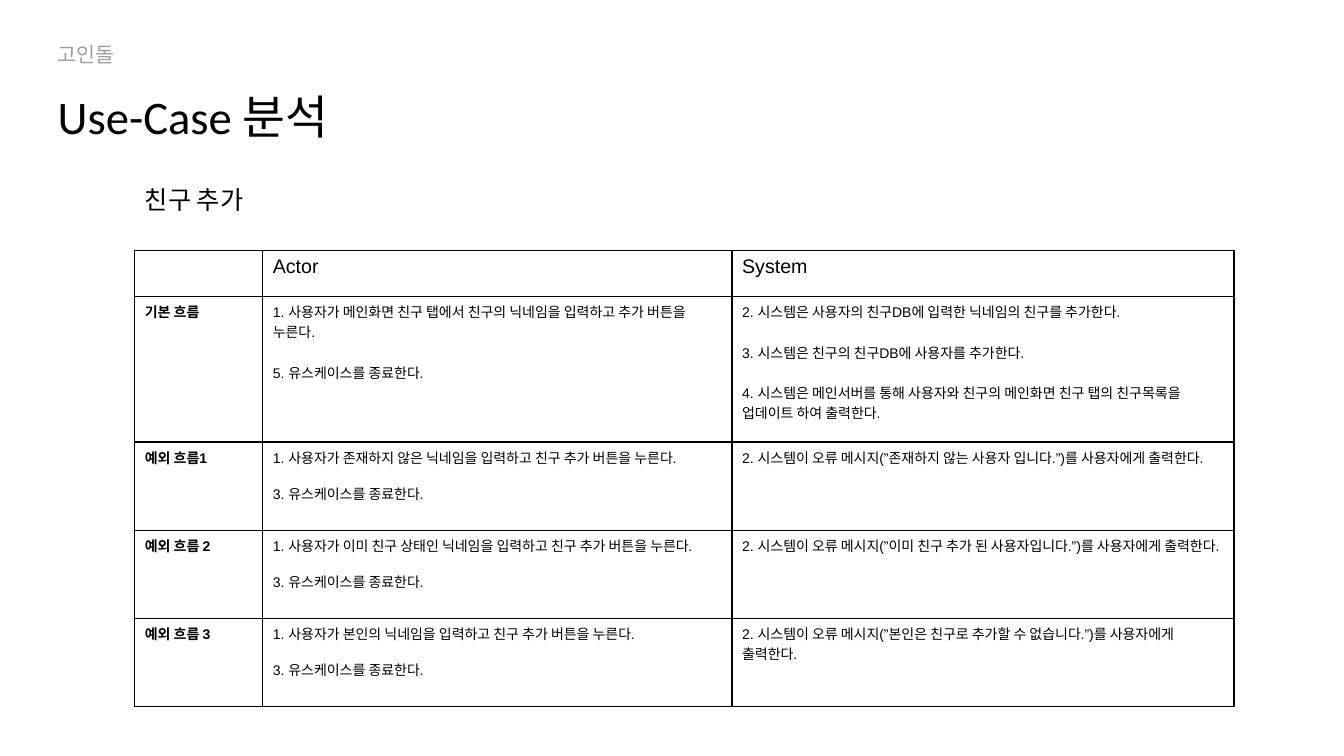
from dataclasses import dataclass
from pptx import Presentation
from pptx.dml.color import RGBColor as Rgb
from pptx.enum.text import MSO_ANCHOR as Anchor, MSO_AUTO_SIZE as AutoSize, PP_ALIGN as Align
from pptx.oxml import parse_xml
from pptx.oxml.ns import nsdecls
from pptx.util import Pt


@dataclass(frozen=True)
class Theme:
    ink: str = "000000"
    muted: str = "9E9E9E"
    paper: str = "FFFFFF"
    heading_font: str = "Calibri"
    table_font: str = "Arial"
    team: float = 14.7
    title: float = 33.3
    subtitle: float = 18
    header: float = 14
    body: float = 10
    rule: float = 1


class UseCaseSlide:
    def __init__(self, slide, theme):
        self.slide = slide
        self.theme = theme

    def style(self, frame, font, size, color, bold=False):
        for paragraph in frame.paragraphs:
            paragraph.alignment = Align.LEFT
            for run in paragraph.runs:
                run.font.name = font
                run.font.size = Pt(size)
                run.font.bold = bold
                run.font.color.rgb = Rgb.from_string(color)

    def heading(self, holder, text, size, color):
        frame = holder.text_frame
        frame.text = text
        frame.word_wrap = True
        frame.auto_size = AutoSize.NONE
        frame.vertical_anchor = Anchor.TOP
        self.style(frame, self.theme.heading_font, size, color)

    def title(self, text, left, top, width, height):
        holder = self.slide.shapes.title
        holder.left, holder.top = Pt(left), Pt(top)
        holder.width, holder.height = Pt(width), Pt(height)
        self.heading(holder, text, self.theme.title, self.theme.ink)

    def label(self, text, left, top, width, height, size, color):
        holder = self.slide.shapes.add_textbox(Pt(left), Pt(top), Pt(width), Pt(height))
        self.heading(holder, text, size, color)

    def outline(self, cell):
        properties = cell._tc.get_or_add_tcPr()
        for side in ("lnL", "lnR", "lnT", "lnB"):
            properties.append(parse_xml(
                f'<a:{side} {nsdecls("a")} w="{Pt(self.theme.rule)}"><a:solidFill>'
                f'<a:srgbClr val="{self.theme.ink}"/></a:solidFill></a:{side}>'))
        cell.fill.solid()
        cell.fill.fore_color.rgb = Rgb.from_string(self.theme.paper)

    def table(self, flows, left, top, widths, heights, gaps):
        theme = self.theme
        grid = self.slide.shapes.add_table(
            len(heights), len(widths), Pt(left), Pt(top),
            Pt(sum(widths)), Pt(sum(heights))).table
        grid.first_row = grid.horz_banding = False
        for column, width in zip(grid.columns, widths):
            column.width = Pt(width)
        for row, height in zip(grid.rows, heights):
            row.height = Pt(height)
        for r, (flow, gap) in enumerate(zip(flows, gaps)):
            for c, steps in enumerate(flow):
                cell = grid.cell(r, c)
                self.outline(cell)
                cell.text_frame.text = steps
                for step in cell.text_frame.paragraphs[1:]:
                    step.space_before = Pt(gap)
                self.style(cell.text_frame, theme.table_font,
                           theme.body if r else theme.header, theme.ink,
                           bold=r > 0 and c == 0)


FLOWS = [
    ("", "Actor", "System"),
    ("기본 흐름",
     "1. 사용자가 메인화면 친구 탭에서 친구의 닉네임을 입력하고 추가 버튼을 누른다.\n"
     "5. 유스케이스를 종료한다.",
     "2. 시스템은 사용자의 친구DB에 입력한 닉네임의 친구를 추가한다.\n"
     "3. 시스템은 친구의 친구DB에 사용자를 추가한다.\n"
     "4. 시스템은 메인서버를 통해 사용자와 친구의 메인화면 친구 탭의 친구목록을 업데이트 하여 출력한다."),
    ("예외 흐름1",
     "1. 사용자가 존재하지 않은 닉네임을 입력하고 친구 추가 버튼을 누른다.\n"
     "3. 유스케이스를 종료한다.",
     "2. 시스템이 오류 메시지(”존재하지 않는 사용자 입니다.”)를 사용자에게 출력한다."),
    ("예외 흐름 2",
     "1. 사용자가 이미 친구 상태인 닉네임을 입력하고 친구 추가 버튼을 누른다.\n"
     "3. 유스케이스를 종료한다.",
     "2. 시스템이 오류 메시지(”이미 친구 추가 된 사용자입니다.”)를 사용자에게 출력한다."),
    ("예외 흐름 3",
     "1. 사용자가 본인의 닉네임을 입력하고 친구 추가 버튼을 누른다.\n"
     "3. 유스케이스를 종료한다.",
     "2. 시스템이 오류 메시지(”본인은 친구로 추가할 수 없습니다.”)를 사용자에게 출력한다."),
]


def main():
    deck = Presentation()
    deck.slide_width, deck.slide_height = Pt(960), Pt(540)
    theme = Theme()
    page = UseCaseSlide(deck.slides.add_slide(deck.slide_layouts[5]), theme)
    page.label("고인돌", 34, 26.5, 204, 25, theme.team, theme.muted)
    page.title("Use-Case 분석", 34, 59, 380, 47.5)
    page.label("친구 추가", 96.5, 128, 199, 29.5, theme.subtitle, theme.ink)
    page.table(FLOWS, 96.3, 178.8, widths=[91.4, 335.2, 358.6],
               heights=[33, 104] + [63] * 3, gaps=[0, 14.5] + [11.5] * 3)
    deck.save("out.pptx")


if __name__ == "__main__":
    main()
